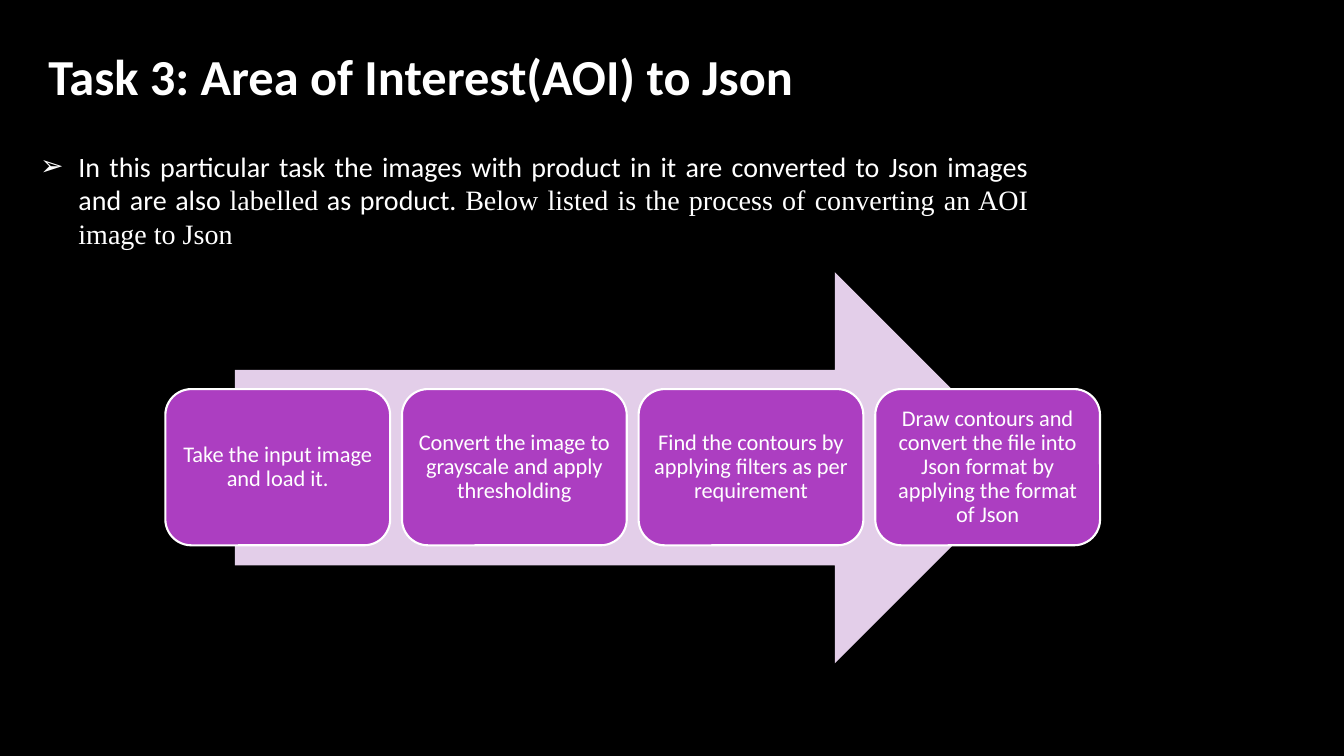
from lxml.etree import SubElement
from pptx import Presentation
from pptx.dml.color import RGBColor
from pptx.enum.shapes import MSO_SHAPE
from pptx.enum.text import MSO_ANCHOR, PP_ALIGN
from pptx.oxml.ns import qn
from pptx.util import Inches, Pt

BLACK = RGBColor(0x00, 0x00, 0x00)
WHITE = RGBColor(0xFF, 0xFF, 0xFF)
PURPLE = RGBColor(0xAC, 0x3E, 0xC1)
LILAC = RGBColor(0xE3, 0xCE, 0xE9)
SANS = "Calibri"
SERIF = "Times New Roman"

TITLE = "Task 3: Area of Interest(AOI) to Json"
INTRODUCTION = [
    ("In this particular task the images with product in it are converted "
     "to Json images and are also ", SANS),
    ("labelled", SERIF),
    (" as product. ", SANS),
    ("Below listed is the process of converting an AOI image to Json", SERIF),
]
STEPS = [
    "Take the input image and load it.",
    "Convert the image to grayscale and apply thresholding",
    "Find the contours by applying filters as per requirement",
    "Draw contours and convert the file into Json format by applying the format of Json",
]
STEP_LEFT = 1.64
STEP_PITCH = 2.347


def write_text(shape, runs, size, align=PP_ALIGN.CENTER, bold=False, wrap=True,
               anchor=MSO_ANCHOR.TOP, line_spacing=None):
    """Write (text, font) runs as one formatted paragraph and return it."""
    frame = shape.text_frame
    frame.word_wrap = wrap
    frame.vertical_anchor = anchor
    paragraph = frame.paragraphs[0]
    paragraph.alignment = align
    paragraph.line_spacing = line_spacing
    for text, font_name in runs:
        run = paragraph.add_run()
        run.text = text
        run.font.name = font_name
        run.font.size = Pt(size)
        run.font.bold = bold
        run.font.color.rgb = WHITE
    return paragraph


def add_text_box(slide, left, top, width, height, runs, size, **text_format):
    """Add a text box and return its paragraph."""
    box = slide.shapes.add_textbox(Inches(left), Inches(top), Inches(width), Inches(height))
    return write_text(box, runs, size, **text_format)


def add_bullet(paragraph, character, indent):
    """Give the paragraph a bullet with a hanging indent."""
    properties = paragraph._p.get_or_add_pPr()
    properties.set("marL", str(Inches(indent)))
    properties.set("indent", str(-Inches(indent)))
    SubElement(properties, qn("a:buFont"), typeface="Wingdings 3" if character == "" else "Arial")
    SubElement(properties, qn("a:buChar"), char=character)


def add_filled_shape(slide, kind, left, top, width, height, fill, line=None):
    """Add a preset shape with a flat fill and an optional outline."""
    shape = slide.shapes.add_shape(
        kind, Inches(left), Inches(top), Inches(width), Inches(height))
    shape.shadow.inherit = False
    shape.fill.solid()
    shape.fill.fore_color.rgb = fill
    if line is None:
        shape.line.fill.background()
    else:
        shape.line.color.rgb = line
        shape.line.width = Pt(1.5)
    return shape


def add_step(slide, left, text):
    """Add one rounded box of the process."""
    box = add_filled_shape(
        slide, MSO_SHAPE.ROUNDED_RECTANGLE, left, 3.86, 2.23, 1.55, PURPLE, WHITE)
    frame = box.text_frame
    frame.margin_left = frame.margin_right = Inches(0.07)
    frame.margin_top = frame.margin_bottom = Inches(0.07)
    write_text(box, [(text, SANS)], 16, anchor=MSO_ANCHOR.MIDDLE, line_spacing=0.9)


def main():
    """Build the slide and save it."""
    presentation = Presentation()
    presentation.slide_width = Inches(13.33)
    presentation.slide_height = Inches(7.5)
    slide = presentation.slides.add_slide(presentation.slide_layouts[6])
    slide.background.fill.solid()
    slide.background.fill.fore_color.rgb = BLACK

    add_text_box(slide, 0.34, 0.4, 7.67, 0.71, [(TITLE, SANS)], 36, bold=True, wrap=False)
    introduction = add_text_box(
        slide, 0.3, 1.43, 10, 1.11, INTRODUCTION, 20, align=PP_ALIGN.JUSTIFY)
    add_bullet(introduction, "➢", 0.38)

    add_filled_shape(slide, MSO_SHAPE.RIGHT_ARROW, 2.33, 2.7, 7.89, 3.88, LILAC)
    for index, text in enumerate(STEPS):
        add_step(slide, STEP_LEFT + index * STEP_PITCH, text)

    presentation.save("out.pptx")


if __name__ == "__main__":
    main()
